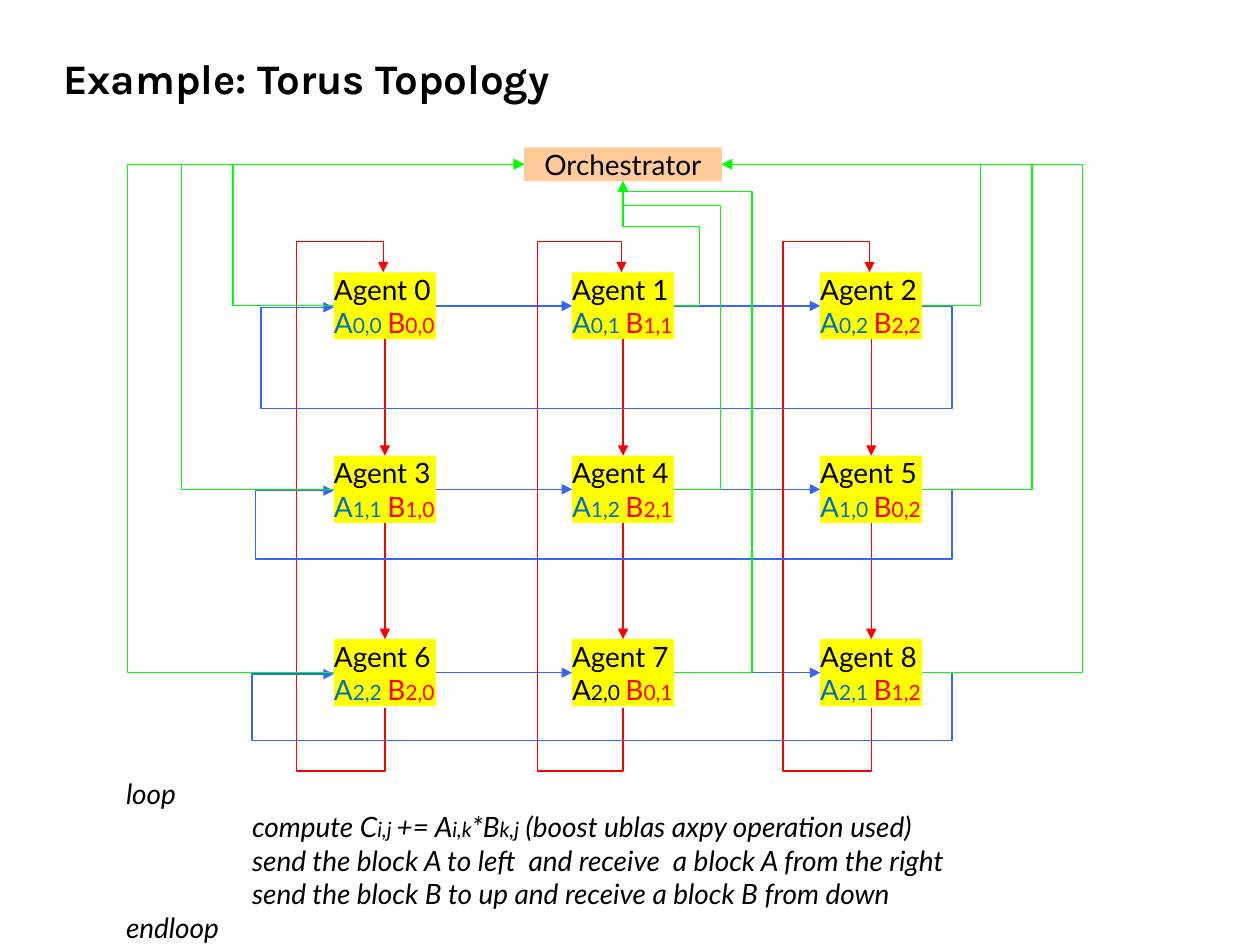
from dataclasses import dataclass

from lxml.etree import SubElement
from pptx import Presentation
from pptx.dml.color import RGBColor
from pptx.enum.shapes import MSO_CONNECTOR, MSO_SHAPE
from pptx.enum.text import MSO_ANCHOR, MSO_AUTO_SIZE, PP_ALIGN
from pptx.oxml.ns import qn
from pptx.util import Pt


@dataclass(frozen=True)
class Theme:
    """Colours, fonts and sizes of the slide."""
    text: str = "000000"
    block_a: str = "0070C0"
    block_b: str = "FF0000"
    agent: str = "FFFF00"
    orchestrator: str = "FFCC99"
    down: str = "FF0000"
    across: str = "3366FF"
    report: str = "00FF00"
    title_font: str = "Karla"
    body_font: str = "Lato"
    title_size: float = 24
    body_size: float = 16
    index_size: float = 12
    line_width: float = 0.75


THEME = Theme()
COLUMN_LEFTS = [190.8, 326.9, 468.7]
ROW_TOPS = [155.6, 260.4, 365.2]
AGENT_WIDTH, AGENT_HEIGHT = 58.3, 38.4
HUB_LEFT, HUB_TOP, HUB_WIDTH, HUB_HEIGHT = 299.5, 84.2, 113, 19.4
BLOCKS = [
    [("0,0", "0,0"), ("0,1", "1,1"), ("0,2", "2,2")],
    [("1,1", "1,0"), ("1,2", "2,1"), ("1,0", "0,2")],
    [("2,2", "2,0"), ("2,0", "0,1"), ("2,1", "1,2")],
]
BLACK_A_AGENT = 7


def add_span(para, text, *, size=THEME.body_size, color=THEME.text,
             font=THEME.body_font, bold=False, italic=False):
    """Append formatted text to a paragraph."""
    span = para.add_run()
    span.text = text
    span.font.size = Pt(size)
    span.font.name = font
    span.font.bold = bold
    span.font.italic = italic
    span.font.color.rgb = RGBColor.from_string(color)


def prepare_frame(shape, *, wrap=True, anchor=MSO_ANCHOR.TOP):
    """Clear the margins of a shape's text frame and return it."""
    frame = shape.text_frame
    frame.margin_left = frame.margin_right = Pt(0)
    frame.margin_top = frame.margin_bottom = Pt(0)
    frame.word_wrap = wrap
    frame.auto_size = MSO_AUTO_SIZE.SHAPE_TO_FIT_TEXT
    frame.vertical_anchor = anchor
    return frame


def add_box(page, left, top, width, height, fill, *, wrap):
    """Add a plain filled rectangle and return it with its text frame."""
    box = page.shapes.add_shape(MSO_SHAPE.RECTANGLE, Pt(left), Pt(top), Pt(width), Pt(height))
    box.shadow.inherit = False
    box.fill.solid()
    box.fill.fore_color.rgb = RGBColor.from_string(fill)
    box.line.fill.background()
    return box, prepare_frame(box, wrap=wrap, anchor=MSO_ANCHOR.MIDDLE)


def add_agent(page, row, column):
    """Add one agent of the torus with its matrix blocks."""
    box, frame = add_box(page, COLUMN_LEFTS[column], ROW_TOPS[row],
                         AGENT_WIDTH, AGENT_HEIGHT, THEME.agent, wrap=False)
    number = 3 * row + column
    name, blocks = frame.paragraphs[0], frame.add_paragraph()
    name.alignment = blocks.alignment = PP_ALIGN.LEFT
    add_span(name, f"Agent {number}")
    index_a, index_b = BLOCKS[row][column]
    color_a = THEME.text if number == BLACK_A_AGENT else THEME.block_a
    add_span(blocks, "A", color=color_a)
    add_span(blocks, f"{index_a} ", size=THEME.index_size, color=color_a)
    add_span(blocks, "B", color=THEME.block_b)
    add_span(blocks, index_b, size=THEME.index_size, color=THEME.block_b)
    return box


def style_arrow(arrow, color):
    """Give a connector its colour, width and arrowhead."""
    arrow.line.color.rgb = RGBColor.from_string(color)
    arrow.line.width = Pt(THEME.line_width)
    SubElement(arrow.line._get_or_add_ln(), qn("a:tailEnd"), type="triangle")
    SubElement(arrow._element.spPr, qn("a:effectLst"))


def add_link(page, source, source_side, target, target_side, color):
    """Join two boxes with a straight arrow."""
    arrow = page.shapes.add_connector(MSO_CONNECTOR.STRAIGHT, 0, 0, 0, 0)
    arrow.begin_connect(source, source_side)
    arrow.end_connect(target, target_side)
    style_arrow(arrow, color)


def add_elbow(page, start, end, bends, color, *, upward=False):
    """Draw a bent arrow whose bends alternate between the two axes."""
    arrow = page.shapes.add_connector(
        MSO_CONNECTOR.ELBOW, Pt(start[0]), Pt(start[1]), Pt(end[0]), Pt(end[1]))
    geometry = arrow._element.spPr.find(qn("a:prstGeom"))
    geometry.set("prst", f"bentConnector{len(bends) + 2}")
    guides = geometry.get_or_add_avLst()
    for position, bend in enumerate(bends):
        axis = (position + upward) % 2
        share = (bend - start[axis]) / (end[axis] - start[axis])
        SubElement(guides, qn("a:gd"), name=f"adj{position + 1}", fmla=f"val {round(share * 100000)}")
    if upward:
        width, height = abs(end[1] - start[1]), abs(end[0] - start[0])
        arrow.left = Pt((start[0] + end[0] - width) / 2)
        arrow.top = Pt((start[1] + end[1] - height) / 2)
        arrow.width, arrow.height = Pt(width), Pt(height)
        frame = arrow._element.spPr.find(qn("a:xfrm"))
        frame.attrib.pop("flipH", None)
        frame.set("rot", "16200000")
        frame.set("flipV", "1")
    style_arrow(arrow, color)


def add_torus_links(page, agents):
    """Link neighbours and wrap each row and column around."""
    for row in range(3):
        for step in range(2):
            add_link(page, agents[row][step], 3, agents[row][step + 1], 1, THEME.across)
            add_link(page, agents[step][row], 2, agents[step + 1][row], 0, THEME.down)
    for left, loop_left in zip(COLUMN_LEFTS, [169.2, 306.7, 447.1]):
        middle = left + AGENT_WIDTH / 2
        add_elbow(page, (middle, ROW_TOPS[-1] + AGENT_HEIGHT + 1), (middle - 1, ROW_TOPS[0]),
                  [440.6, loop_left, 138], THEME.down, upward=True)
    for top, loop_left, loop_bottom in zip(ROW_TOPS, [149, 146.2, 144], [234, 319.7, 423.4]):
        middle = top + AGENT_HEIGHT / 2
        add_elbow(page, (COLUMN_LEFTS[-1] + AGENT_WIDTH, middle), (COLUMN_LEFTS[0], middle + 0.8),
                  [544.3, loop_bottom, loop_left], THEME.across)


def add_reports(page):
    """Lead an arrow from every agent to the orchestrator."""
    hub_middle = HUB_TOP + HUB_HEIGHT / 2
    hub_right = HUB_LEFT + HUB_WIDTH
    hub_bottom = (HUB_LEFT + HUB_WIDTH / 2, HUB_TOP + HUB_HEIGHT)
    left_bends = [133.2, 103.7, 72.7]
    middle_bends = [(399.6, 129.6), (411.8, 117.4), (429.8, 109.4)]
    right_bends = [560.2, 589.7, 618.5]
    for top, left, middle, right in zip(ROW_TOPS, left_bends, middle_bends, right_bends):
        level = top + AGENT_HEIGHT / 2
        add_elbow(page, (COLUMN_LEFTS[0], level), (HUB_LEFT, hub_middle), [left], THEME.report)
        add_elbow(page, (COLUMN_LEFTS[1] + AGENT_WIDTH, level), hub_bottom, middle, THEME.report)
        add_elbow(page, (COLUMN_LEFTS[2] + AGENT_WIDTH, level), (hub_right, hub_middle), [right], THEME.report)


def add_algorithm(page):
    """Write the loop that every agent runs."""
    box = page.shapes.add_textbox(Pt(36), Pt(443.5), Pt(658), Pt(96))
    frame = prepare_frame(box)
    body, index = THEME.body_size, THEME.index_size
    lines = [
        (36, [("loop", body)]),
        (126, [("compute C", body), ("i,j ", index), ("+= A", body), ("i,k", index), ("*B", body),
               ("k,j", index), (" (boost ublas axpy operation used)", body)]),
        (126, [("send the block A to left  and receive  a block A from the right", body)]),
        (126, [("send the block B to up and receive a block B from down", body)]),
        (36, [("endloop", body)]),
    ]
    for number, (indent, spans) in enumerate(lines):
        para = frame.add_paragraph() if number else frame.paragraphs[0]
        properties = para._p.get_or_add_pPr()
        properties.set("marL", str(Pt(indent if indent == 36 else 108)))
        properties.set("indent", "0")
        for text, size in spans:
            add_span(para, text, size=size, italic=True)


def main():
    """Build and save the slide."""
    deck = Presentation()
    deck.slide_width, deck.slide_height = Pt(720), Pt(540)
    page = deck.slides.add_slide(deck.slide_layouts[6])
    title = page.shapes.add_textbox(Pt(36), Pt(30.2), Pt(647), Pt(28.8))
    add_span(prepare_frame(title).paragraphs[0], "Example: Torus Topology",
             size=THEME.title_size, font=THEME.title_font, bold=True)
    agents = [[add_agent(page, row, column) for column in range(3)] for row in range(3)]
    add_torus_links(page, agents)
    hub, frame = add_box(page, HUB_LEFT, HUB_TOP, HUB_WIDTH, HUB_HEIGHT, THEME.orchestrator, wrap=True)
    frame.paragraphs[0].alignment = PP_ALIGN.CENTER
    add_span(frame.paragraphs[0], "Orchestrator")
    add_reports(page)
    add_algorithm(page)
    deck.save("out.pptx")


if __name__ == "__main__":
    main()
